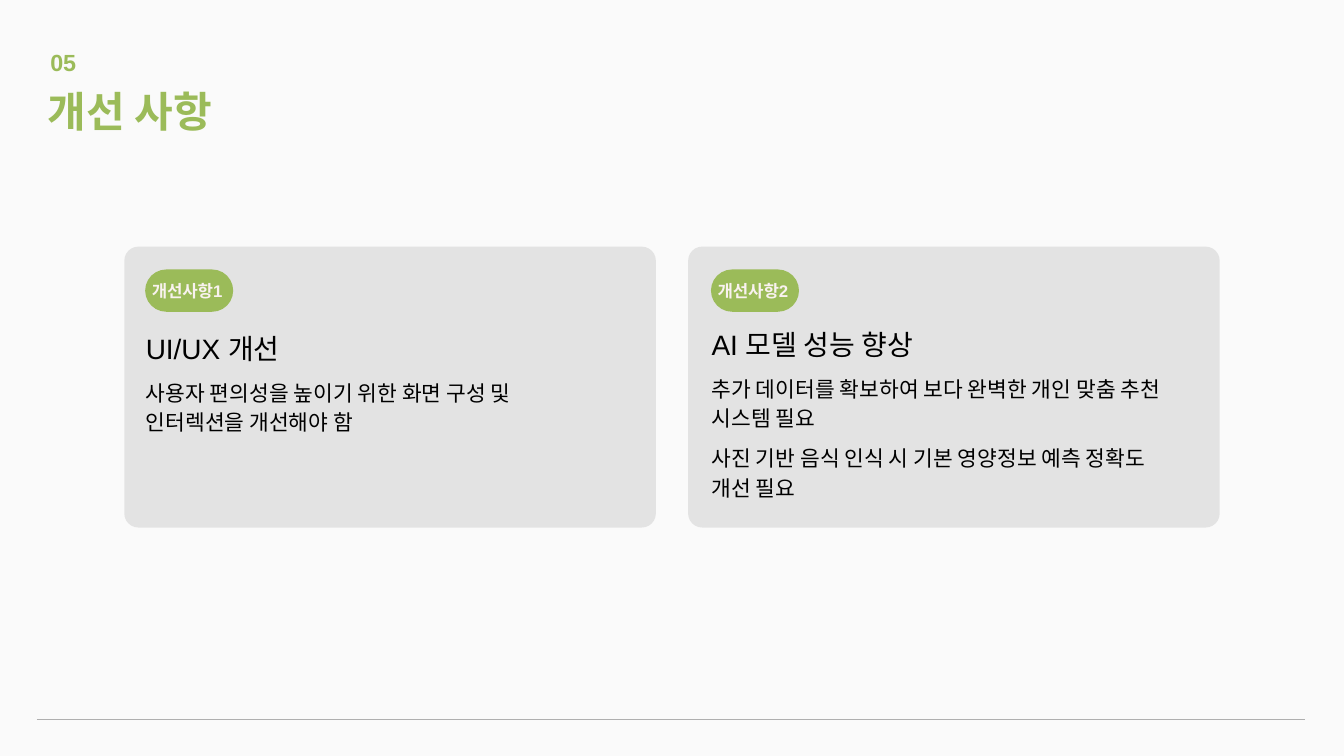
from lxml import etree
from pptx import Presentation
from pptx.dml.color import RGBColor
from pptx.enum import shapes, text
from pptx.oxml import ns
from pptx.util import Inches, Pt

GREEN, GREY, CREAM, BLACK = "9BBB59", "AFAFAF", "F9F2EF", "000000"

deck = Presentation()
deck.slide_width, deck.slide_height = Inches(20), Inches(11.25)
slide = deck.slides.add_slide(deck.slide_layouts[6])
slide.background.fill.solid()
slide.background.fill.fore_color.rgb = RGBColor.from_string("FAFAFA")


def add_panel(left, top, width, height, radius, color, alpha=None):
    panel = slide.shapes.add_shape(
        shapes.MSO_SHAPE.ROUNDED_RECTANGLE,
        Inches(left), Inches(top), Inches(width), Inches(height))
    panel.adjustments[0] = radius
    panel.shadow.inherit = False
    panel.line.fill.background()
    panel.fill.solid()
    panel.fill.fore_color.rgb = RGBColor.from_string(color)
    if alpha is not None:
        tint = panel.fill._xPr.find(".//" + ns.qn("a:srgbClr"))
        etree.SubElement(tint, ns.qn("a:alpha")).set("val", str(alpha * 1000))


def add_text(left, top, width, height, lines, sizes, color, bold=False, inset=0.01, spacing=0):
    frame = slide.shapes.add_textbox(
        Inches(left), Inches(top), Inches(width), Inches(height)).text_frame
    frame.word_wrap = True
    frame.auto_size = text.MSO_AUTO_SIZE.SHAPE_TO_FIT_TEXT
    frame.margin_left, frame.margin_top = Inches(0.01), Inches(inset)
    frame.margin_right = frame.margin_bottom = 0
    frame.text = "\n".join(lines)
    for index, paragraph in enumerate(frame.paragraphs):
        if index:
            paragraph.space_before = Pt(12)
            paragraph.line_spacing = 1.14
        for run in paragraph.runs:
            run.font.name = "Arial"
            run.font.size = Pt(sizes[min(index, 1)])
            run.font.bold = bold
            run.font.color.rgb = RGBColor.from_string(color)
            if spacing:
                run.font._element.set("spc", str(spacing))


footer = slide.shapes.add_connector(
    shapes.MSO_CONNECTOR.STRAIGHT, Inches(0.55), Inches(10.7), Inches(19.42), Inches(10.7))
footer.line.color.rgb = RGBColor.from_string(GREY)
footer.line.width = Pt(0.75)
etree.SubElement(footer._element.spPr, ns.qn("a:effectLst"))

add_text(0.74, 0.7, 0.44, 0.43, ["05"], [25], GREEN, bold=True, spacing=-20)
add_text(0.7, 1.19, 7.05, 0.84, ["개선 사항"], [45], GREEN, bold=True, inset=0.08)

improvements = [
    (1.85, 2.16, "개선사항1", (4.92, 6.53, 1.54), 0.01,
     ["UI/UX 개선",
      "사용자 편의성을 높이기 위한 화면 구성 및 인터렉션을 개선해야 함"]),
    (10.24, 10.58, "개선사항2", (4.57, 6.84, 2.88), 0.3,
     ["AI 모델 성능 향상",
      "추가 데이터를 확보하여 보다 완벽한 개인 맞춤 추천 시스템 필요",
      "사진 기반 음식 인식 시 기본 영양정보 예측 정확도 개선 필요"]),
]
for card_left, content_left, badge, (top, width, height), inset, lines in improvements:
    add_panel(card_left, 3.67, 7.91, 4.18, 0.05, GREY, alpha=30)
    add_panel(content_left, 4.01, 1.31, 0.63, 0.5, GREEN)
    add_text(content_left + 0.09, 4.17, 1.31, 0.32, [badge], [18], CREAM, bold=True, spacing=-20)
    add_text(content_left, top, width, height, lines, [30, 23], BLACK, inset=inset)

deck.save("out.pptx")
